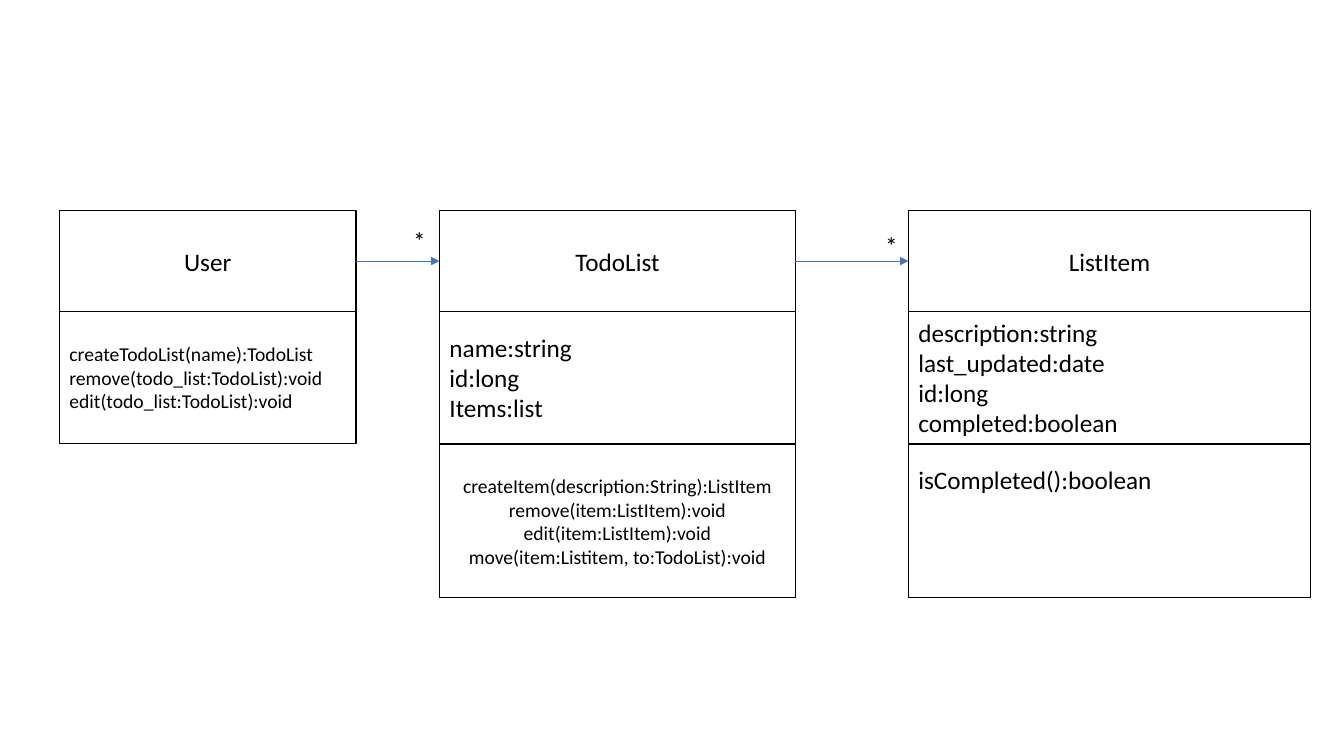
from dataclasses import dataclass

from lxml import etree
from pptx import Presentation
from pptx import util as u
from pptx.dml import color
from pptx.enum import shapes, text
from pptx.oxml import ns
from pptx.shapes.autoshape import Shape
from pptx.slide import Slide
from pptx.text.text import TextFrame

PX = u.Inches(1) // 100


@dataclass(frozen=True)
class Theme:
    font: str = "Calibri"
    ink: color.RGBColor = color.RGBColor(0x00, 0x00, 0x00)
    arrow: color.RGBColor = color.RGBColor(0x44, 0x72, 0xC4)
    normal: int = 18
    small: int = 14
    border: float = 1
    arrow_width: float = 0.5


@dataclass(frozen=True)
class Compartment:
    top: int
    height: int
    lines: tuple[str, ...]
    size: int
    centred: bool = False


@dataclass(frozen=True)
class UmlClass:
    left: int
    width: int
    name: str
    compartments: tuple[Compartment, ...]


@dataclass(frozen=True)
class Label:
    left: int
    top: int
    width: int
    words: str


THEME = Theme()
HEADER_TOP, HEADER_HEIGHT = 209, 100
MIDDLE_TOP, MIDDLE_HEIGHT = 309, 131
BOTTOM_TOP, BOTTOM_HEIGHT = 441, 152
LABEL_HEIGHT = 40

CLASSES = (
    UmlClass(59, 294, "User", (
        Compartment(MIDDLE_TOP, MIDDLE_HEIGHT, (
            "createTodoList(name):TodoList",
            "remove(todo_list:TodoList):void",
            "edit(todo_list:TodoList):void",
        ), THEME.small),
    )),
    UmlClass(436, 353, "TodoList", (
        Compartment(MIDDLE_TOP, MIDDLE_HEIGHT, (
            "name:string", "id:long", "Items:list",
        ), THEME.normal),
        Compartment(BOTTOM_TOP, BOTTOM_HEIGHT, (
            "createItem(description:String):ListItem",
            "remove(item:ListItem):void",
            "edit(item:ListItem):void",
            "move(item:Listitem, to:TodoList):void",
        ), THEME.small, centred=True),
    )),
    UmlClass(901, 399, "ListItem", (
        Compartment(MIDDLE_TOP, MIDDLE_HEIGHT, (
            "description:string", "last_updated:date", "id:long", "completed:boolean",
        ), THEME.normal),
        Compartment(BOTTOM_TOP, BOTTOM_HEIGHT, (), THEME.normal),
    )),
)

LABELS = (
    Label(400, 219, 33, "*"),
    Label(868, 224, 33, "*"),
    Label(901, 456, 255, "isCompleted():boolean"),
)


def write_lines(frame: TextFrame, lines: tuple[str, ...], size: int, centred: bool) -> None:
    for index, line in enumerate(lines):
        paragraph = frame.add_paragraph() if index else frame.paragraphs[0]
        paragraph.alignment = text.PP_ALIGN.CENTER if centred else text.PP_ALIGN.LEFT
        run = paragraph.add_run()
        run.text = line
        run.font.name = THEME.font
        run.font.size = u.Pt(size)
        run.font.color.rgb = THEME.ink


def draw_class(slide: Slide, uml: UmlClass) -> Shape:
    group = slide.shapes.add_group_shape()
    header = Compartment(HEADER_TOP, HEADER_HEIGHT, (uml.name,), THEME.normal, centred=True)
    boxes = []
    for part in (header, *uml.compartments):
        box = group.shapes.add_shape(
            shapes.MSO_SHAPE.RECTANGLE,
            uml.left * PX, part.top * PX, uml.width * PX, part.height * PX,
        )
        box.shadow.inherit = False
        box.fill.background()
        box.line.color.rgb = THEME.ink
        box.line.width = u.Pt(THEME.border)
        box.text_frame.vertical_anchor = text.MSO_ANCHOR.MIDDLE
        write_lines(box.text_frame, part.lines, part.size, part.centred)
        boxes.append(box)
    return boxes[0]


def draw_association(slide: Slide, owner: Shape, member: Shape) -> None:
    arrow = slide.shapes.add_connector(shapes.MSO_CONNECTOR.STRAIGHT, 0, 0, 0, 0)
    arrow.begin_connect(owner, 3)
    arrow.end_connect(member, 1)
    arrow.line.color.rgb = THEME.arrow
    arrow.line.width = u.Pt(THEME.arrow_width)
    properties = arrow.element.spPr
    etree.SubElement(properties.find(ns.qn("a:ln")), ns.qn("a:tailEnd"), type="triangle")
    etree.SubElement(properties, ns.qn("a:effectLst"))


def draw_label(slide: Slide, label: Label) -> None:
    box = slide.shapes.add_textbox(
        label.left * PX, label.top * PX, label.width * PX, LABEL_HEIGHT * PX
    )
    box.text_frame.word_wrap = False
    box.text_frame.auto_size = text.MSO_AUTO_SIZE.SHAPE_TO_FIT_TEXT
    write_lines(box.text_frame, (label.words,), THEME.normal, centred=False)


def main() -> None:
    deck = Presentation()
    deck.slide_width, deck.slide_height = 1333 * PX, 750 * PX
    slide = deck.slides.add_slide(deck.slide_layouts[6])
    headers = [draw_class(slide, uml) for uml in CLASSES]
    for owner, member in zip(headers, headers[1:]):
        draw_association(slide, owner, member)
    for label in LABELS:
        draw_label(slide, label)
    deck.save("out.pptx")


if __name__ == "__main__":
    main()
